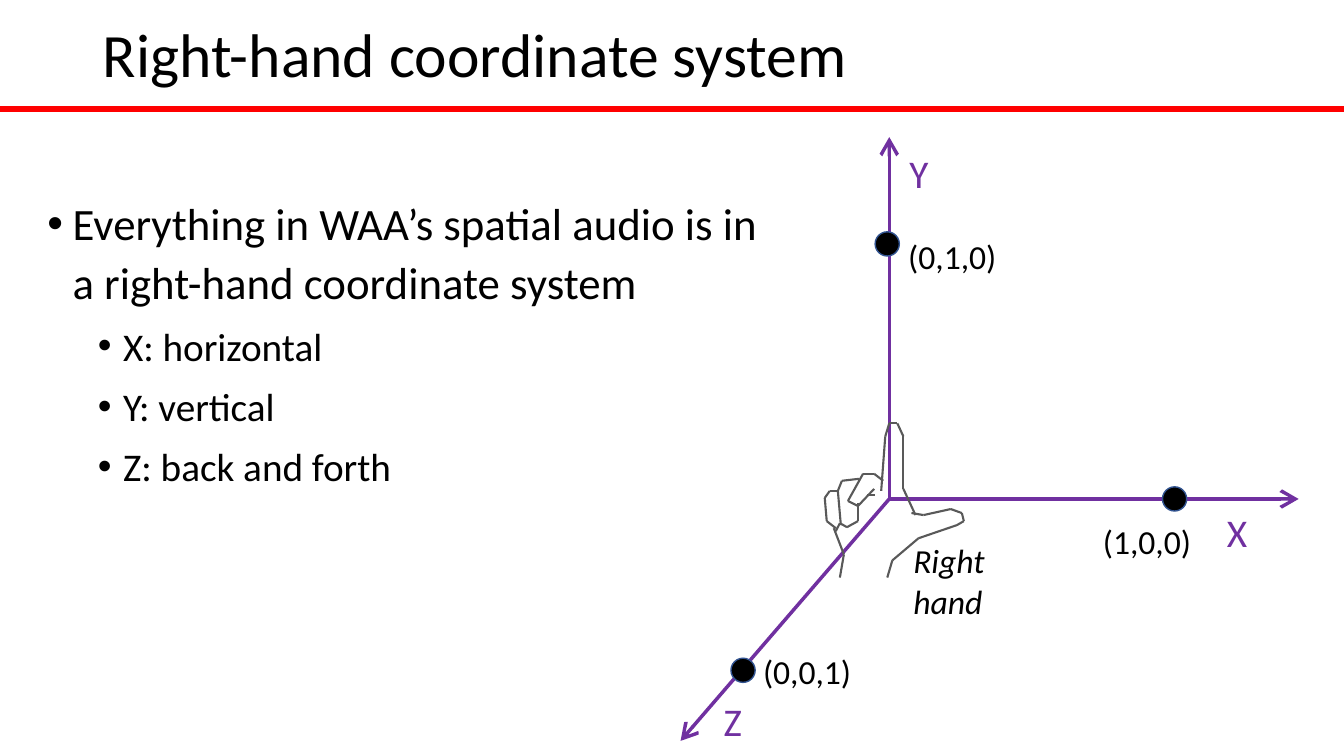
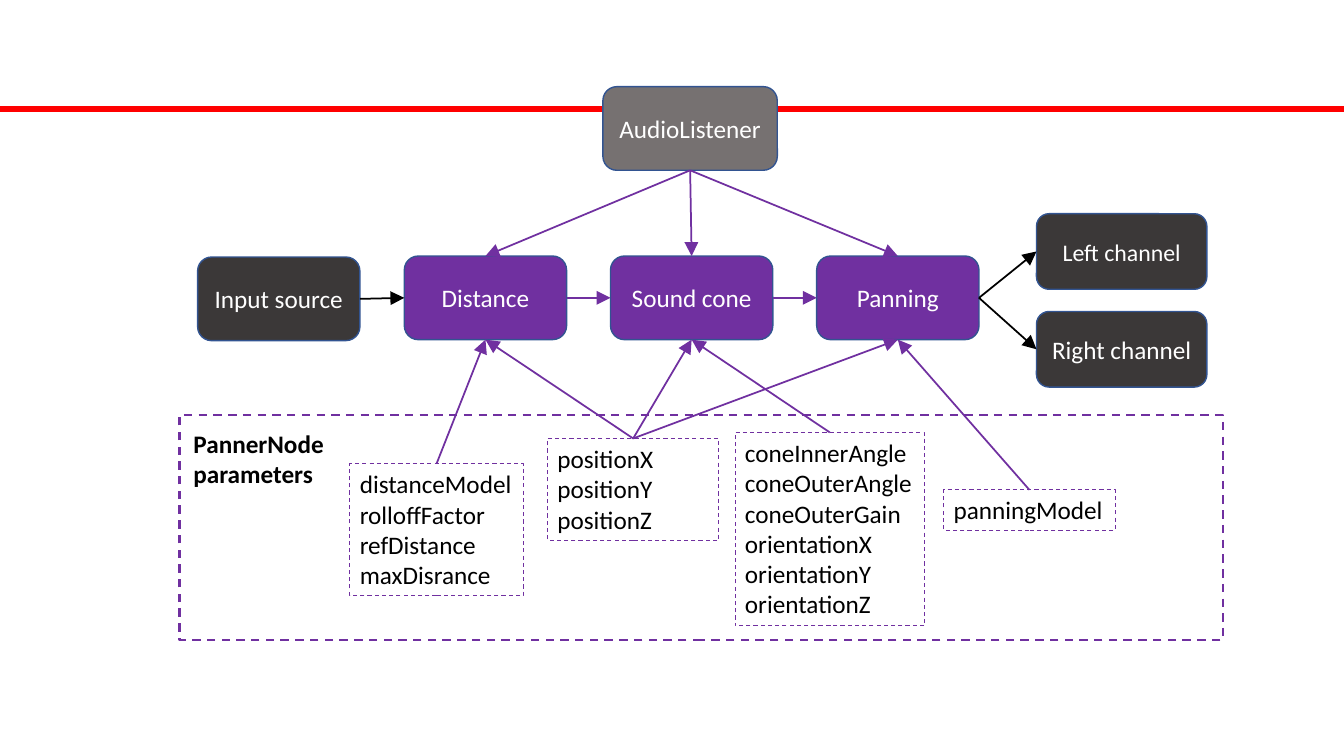
"""Build two slides on the right-hand coordinate system and the spatial audio panner."""
from dataclasses import dataclass
from itertools import pairwise

from lxml import etree
from pptx import Presentation
from pptx.dml.color import RGBColor
from pptx.enum.dml import MSO_LINE
from pptx.enum.shapes import MSO_CONNECTOR, MSO_SHAPE
from pptx.enum.text import MSO_ANCHOR, MSO_AUTO_SIZE, PP_ALIGN
from pptx.oxml.ns import qn
from pptx.util import Inches, Pt

BLACK = RGBColor(0x00, 0x00, 0x00)
WHITE = RGBColor(0xFF, 0xFF, 0xFF)
RED = RGBColor(0xFF, 0x00, 0x00)
PURPLE = RGBColor(0x70, 0x30, 0xA0)
EDGE_BLUE = RGBColor(0x32, 0x54, 0x91)
GRAY = RGBColor(0x76, 0x71, 0x71)
CHARCOAL = RGBColor(0x3B, 0x38, 0x38)
SKETCH_GRAY = RGBColor(0x59, 0x59, 0x59)

FONT = "Calibri"
STRAIGHT = MSO_CONNECTOR.STRAIGHT
DASH = MSO_LINE.DASH
ELLIPSE, RECTANGLE = MSO_SHAPE.OVAL, MSO_SHAPE.RECTANGLE
ROUNDED = MSO_SHAPE.ROUNDED_RECTANGLE
LEFT, CENTER = PP_ALIGN.LEFT, PP_ALIGN.CENTER
TOP_ANCHOR, MIDDLE_ANCHOR = MSO_ANCHOR.TOP, MSO_ANCHOR.MIDDLE
NO_RESIZE = MSO_AUTO_SIZE.NONE
TOP, LEFT_SIDE, BOTTOM, RIGHT_SIDE = range(4)

SLIDE_WIDTH, SLIDE_HEIGHT = 13.33, 7.5
RULE_TOP = 1.08
ORIGIN = (8.82, 4.95)
DOT_SIZE = 0.24
NODE_TOP, NODE_WIDTH, NODE_HEIGHT = 2.54, 1.61, 0.83
CHANNEL_WIDTH, CHANNEL_HEIGHT = 1.69, 0.75
STAGE_LEFT, STAGE_STEP = 4.01, 2.045


@dataclass(frozen=True)
class Axis:
    """An axis with its tip, its name and its marked unit point."""
    name: str
    tip: tuple[float, float]
    name_at: tuple[float, float]
    unit: str
    unit_at: tuple[float, float]
    dot_at: tuple[float, float]


@dataclass(frozen=True)
class Node:
    """A filled, rounded box of the signal chain."""
    name: str
    left: float
    top: float
    width: float
    height: float
    fill: RGBColor
    size: int = 18


@dataclass(frozen=True)
class Parameters:
    """A dashed box of parameter names and the stages it controls."""
    names: str
    left: float
    top: float
    width: float
    height: float
    targets: tuple[str, ...]


@dataclass(frozen=True)
class Link:
    """An arrow between the sides of two nodes."""
    start: str
    start_side: int
    end: str
    end_side: int
    color: RGBColor = PURPLE


AXES = (
    Axis("Y", (8.82, 1.36), (8.92, 1.43), "(0,1,0)", (8.91, 2.29), (8.68, 2.3)),
    Axis("X", (12.88, 4.95), (12.07, 4.99), "(1,0,0)", (10.84, 5.12), (11.53, 4.83)),
    Axis("Z", (6.75, 7.35), (7.08, 6.87), "(0,0,1)", (7.47, 6.41), (7.25, 6.53)),
)

HAND_STROKES = (
    ((8.33, 5.73), (8.37, 5.5), (8.27, 5.24)),
    ((8.8, 5.73), (8.85, 5.56), (9.11, 5.34), (9.49, 5.21), (9.56, 5.17),
     (9.54, 5.09), (9.43, 5.05), (9.16, 5.11), (9.04, 5.09)),
    ((9.08, 5.11), (8.96, 4.85), (8.96, 4.33), (8.9, 4.2), (8.82, 4.2),
     (8.78, 4.33), (8.74, 4.87)),
    ((8.76, 4.77), (8.67, 4.7), (8.56, 4.7), (8.41, 4.97), (8.51, 5.02), (8.67, 4.85)),
    ((8.51, 4.99), (8.51, 5.17), (8.4, 5.23), (8.33, 5.19), (8.29, 5.27)),
    ((8.52, 4.75), (8.35, 4.77), (8.31, 4.87), (8.34, 5.21)),
    ((8.31, 4.87), (8.23, 4.87), (8.18, 4.94), (8.2, 5.17), (8.29, 5.24)),
    ((8.6, 4.91), (8.68, 4.91)),
)

BULLETS = (
    (0, "Everything in WAA’s spatial audio is in a right-hand coordinate system"),
    (1, "X: horizontal"),
    (1, "Y: vertical"),
    (1, "Z: back and forth"),
)

STAGES = ("Distance", "Sound cone", "Panning")

NODES = (
    Node("AudioListener", 5.98, 0.86, 1.73, NODE_HEIGHT, GRAY),
    Node("Input source", 1.96, 2.55, NODE_WIDTH, NODE_HEIGHT, CHARCOAL),
    *(Node(stage, STAGE_LEFT + index * STAGE_STEP, NODE_TOP, NODE_WIDTH, NODE_HEIGHT, PURPLE)
      for index, stage in enumerate(STAGES)),
    Node("Left channel", 10.28, 2.12, CHANNEL_WIDTH, CHANNEL_HEIGHT, CHARCOAL, 17),
    Node("Right channel", 10.28, 3.09, CHANNEL_WIDTH, CHANNEL_HEIGHT, CHARCOAL),
)

LINKS = (
    *(Link("AudioListener", BOTTOM, stage, TOP) for stage in STAGES),
    Link("Input source", RIGHT_SIDE, "Distance", LEFT_SIDE, BLACK),
    *(Link(start, RIGHT_SIDE, end, LEFT_SIDE) for start, end in pairwise(STAGES)),
    Link("Panning", RIGHT_SIDE, "Left channel", LEFT_SIDE, BLACK),
    Link("Panning", RIGHT_SIDE, "Right channel", LEFT_SIDE, BLACK),
)

PARAMETERS = (
    Parameters("distanceModel\nrolloffFactor\nrefDistance\nmaxDisrance",
               3.47, 4.6, 1.72, 1.31, ("Distance",)),
    Parameters("positionX\npositionY\npositionZ", 5.43, 4.35, 1.7, 1.01, STAGES),
    Parameters("coneInnerAngle\nconeOuterAngle\nconeOuterGain\n"
               "orientationX\norientationY\norientationZ",
               7.29, 4.29, 1.88, 1.92, ("Sound cone",)),
    Parameters("panningModel", 9.36, 4.86, 1.7, 0.4, ("Panning",)),
)


def write_text(frame, text: str, *, size: float, color: RGBColor = BLACK, bold: bool = False,
               italic: bool = False, align: PP_ALIGN = LEFT, anchor: MSO_ANCHOR = TOP_ANCHOR,
               inset: float = 0.1, right_inset: float = 0.1) -> None:
    """Fill a text frame with one paragraph per line of text."""
    frame.word_wrap = True
    frame.auto_size = NO_RESIZE
    frame.vertical_anchor = anchor
    frame.margin_left, frame.margin_right = Inches(inset), Inches(right_inset)
    for index, line in enumerate(text.split("\n")):
        para = frame.add_paragraph() if index else frame.paragraphs[0]
        para.alignment = align
        span = para.add_run()
        span.text = line
        span.font.name, span.font.size = FONT, Pt(size)
        span.font.bold, span.font.italic = bold, italic
        span.font.color.rgb = color


def place(shape, left: float, top: float, width: float, height: float) -> None:
    """Set the position and size of a shape in inches."""
    shape.left, shape.top = Inches(left), Inches(top)
    shape.width, shape.height = Inches(width), Inches(height)


def add_label(slide, text: str, left: float, top: float, width: float, height: float,
              **text_format) -> None:
    """Add a text box."""
    box = slide.shapes.add_textbox(Inches(left), Inches(top), Inches(width), Inches(height))
    write_text(box.text_frame, text, **text_format)


def add_box(slide, kind: MSO_SHAPE, left: float, top: float, width: float, height: float, *,
            fill: RGBColor | None = None, edge: RGBColor = EDGE_BLUE, weight: float = 1,
            dashed: bool = False):
    """Add a preset shape and return it."""
    box = slide.shapes.add_shape(kind, Inches(left), Inches(top), Inches(width), Inches(height))
    box.shadow.inherit = False
    if fill is None:
        box.fill.background()
    else:
        box.fill.solid()
        box.fill.fore_color.rgb = fill
    box.line.color.rgb = edge
    box.line.width = Pt(weight)
    if dashed:
        box.line.dash_style = DASH
    return box


def add_line(slide, start: tuple[float, float], end: tuple[float, float], color: RGBColor,
             weight: float, head: str | None = None):
    """Add a straight line, with a large arrowhead at its end if one is named."""
    line = slide.shapes.add_connector(STRAIGHT, *map(Inches, (*start, *end)))
    line.line.color.rgb = color
    line.line.width = Pt(weight)
    properties = line.element.spPr
    if head:
        etree.SubElement(properties.find(qn("a:ln")), qn("a:tailEnd"),
                         type=head, w="lg", len="lg")
    etree.SubElement(properties, qn("a:effectLst"))
    return line


def join(slide, start, start_side: int, end, end_side: int, color: RGBColor = PURPLE) -> None:
    """Join the sides of two boxes with an arrow."""
    arrow = add_line(slide, (0, 0), (1, 1), color, 1.25, "triangle")
    arrow.begin_connect(start, start_side)
    arrow.end_connect(end, end_side)


def add_page(deck, layout: int):
    """Add a slide with the red rule below the title area."""
    page = deck.slides.add_slide(deck.slide_layouts[layout])
    add_line(page, (0, RULE_TOP), (SLIDE_WIDTH, RULE_TOP), RED, 4.5)
    return page


def write_bullets(body) -> None:
    """Write the bulleted list into the body placeholder."""
    write_text(body.text_frame, "\n".join(text for _, text in BULLETS), size=28)
    for index, (para, (level, _)) in enumerate(zip(body.text_frame.paragraphs, BULLETS)):
        para.level = level
        properties = para._p.get_or_add_pPr()
        properties.set("marL", str(Inches(0.25 + 0.5 * level)))
        properties.set("indent", str(Inches(-0.25)))
        etree.SubElement(properties, qn("a:buFont"), typeface="Arial")
        etree.SubElement(properties, qn("a:buChar"), char="•")
        para.line_spacing = 1.1
        para.space_before = Pt(6 if index else 0)
        if level == 0:
            para.runs[0].font.size = Pt(32)


def build_coordinates(deck) -> None:
    """Build the slide that shows the three axes and the right hand."""
    page = add_page(deck, 1)
    title, body = page.placeholders
    place(title, 0.92, 0.06, 11.5, 1.03)
    write_text(title.text_frame, "Right-hand coordinate system", size=44, anchor=MIDDLE_ANCHOR)
    title.text_frame.paragraphs[0].line_spacing = 0.9
    place(body, 0.37, 1.84, 7.3, 4.69)
    write_bullets(body)
    for axis in AXES:
        add_line(page, ORIGIN, axis.tip, PURPLE, 2.5, "arrow")
        add_label(page, axis.name, *axis.name_at, 0.56, 0.57, size=28, color=PURPLE)
        add_label(page, axis.unit, *axis.unit_at, 1.13, 0.5, size=24)
        add_box(page, ELLIPSE, *axis.dot_at, DOT_SIZE, DOT_SIZE, fill=BLACK)
    for stroke in HAND_STROKES:
        for start, end in pairwise(stroke):
            add_line(page, start, end, SKETCH_GRAY, 1.5)
    add_label(page, "Right hand", 8.96, 5.31, 1.13, 0.91, size=24, italic=True)


def build_panner(deck) -> None:
    """Build the slide that shows the signal chain of the panner."""
    page = add_page(deck, 6)
    boxes = {}
    for node in NODES:
        box = add_box(page, ROUNDED, node.left, node.top, node.width, node.height, fill=node.fill)
        write_text(box.text_frame, node.name, size=node.size, color=WHITE, align=CENTER,
                   anchor=MIDDLE_ANCHOR, inset=0.05, right_inset=0.05)
        boxes[node.name] = box
    for link in LINKS:
        join(page, boxes[link.start], link.start_side, boxes[link.end], link.end_side, link.color)
    add_box(page, RECTANGLE, 1.78, 4.12, 10.35, 2.23, edge=PURPLE, weight=1.5, dashed=True)
    add_label(page, "PannerNode parameters", 1.82, 4.2, 2.19, 0.71, size=18, bold=True)
    for group in PARAMETERS:
        box = add_box(page, RECTANGLE, group.left, group.top, group.width, group.height,
                      edge=PURPLE, weight=0.75, dashed=True)
        write_text(box.text_frame, group.names, size=18, right_inset=0)
        for target in group.targets:
            join(page, box, TOP, boxes[target], BOTTOM)


def main() -> None:
    """Build and save the deck."""
    deck = Presentation()
    deck.slide_width, deck.slide_height = Inches(SLIDE_WIDTH), Inches(SLIDE_HEIGHT)
    build_coordinates(deck)
    build_panner(deck)
    deck.save("out.pptx")


if __name__ == "__main__":
    main()
